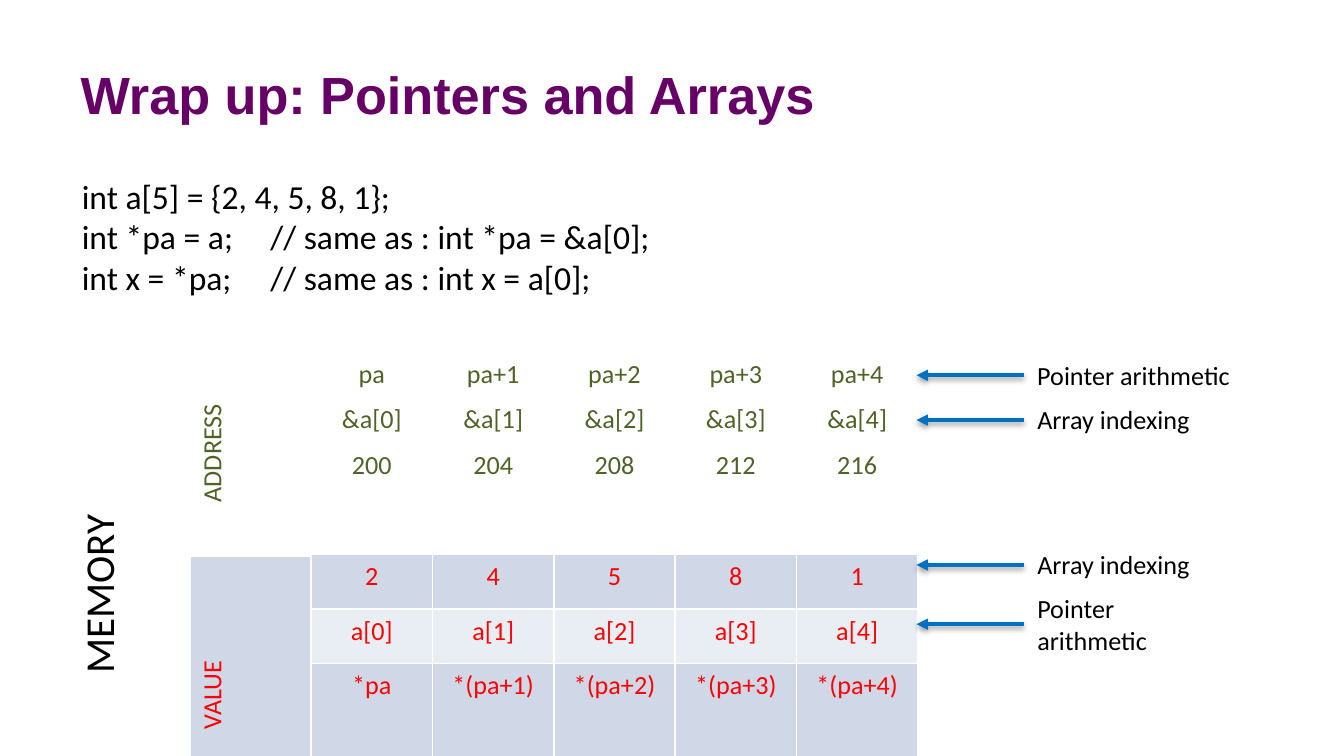
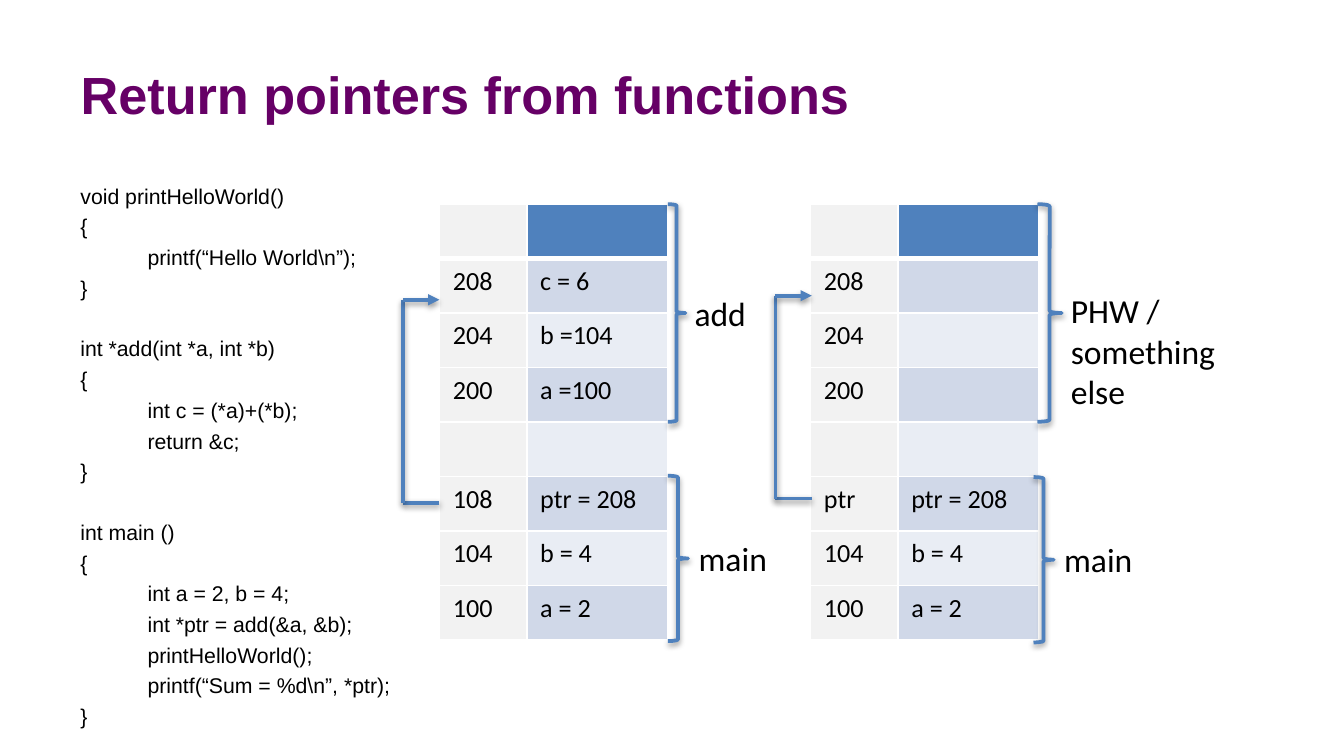
import pptx
import pptx.dml.color
import pptx.enum.shapes
import pptx.enum.text
import pptx.oxml
import pptx.oxml.ns
import pptx.util

Pt = pptx.util.Pt
ALIGN = pptx.enum.text.PP_ALIGN
ANCHOR = pptx.enum.text.MSO_ANCHOR
NS = pptx.oxml.ns.nsdecls("a")

PURPLE, BLACK, WHITE = "660066", "000000", "FFFFFF"
GREEN, RED = "4F6228", "FF0000"
ARROW_BLUE, BLUE = "0070C0", "4F81BD"
DARK_BAND, LIGHT_BAND, GREY = "D0D8E8", "E9EDF4", "F2F2F2"

POINTER_CODE = """int a[5] = {2, 4, 5, 8, 1};
int *pa = a;\t// same as : int *pa = &a[0];
int x = *pa;\t// same as : int x = a[0];"""

RETURN_CODE = """void printHelloWorld()
{
\tprintf(“Hello World\\n”);
}

int *add(int *a, int *b)
{
\tint c = (*a)+(*b);
\treturn &c;
}

int main ()
{
\tint a = 2, b = 4;
\tint *ptr = add(&a, &b);
\tprintHelloWorld();
\tprintf(“Sum = %d\\n”, *ptr);
}"""

MEMORY_ROWS = [
    ["pa", "pa+1", "pa+2", "pa+3", "pa+4"],
    ["&a[0]", "&a[1]", "&a[2]", "&a[3]", "&a[4]"],
    ["200", "204", "208", "212", "216"],
    ["2", "4", "5", "8", "1"],
    ["a[0]", "a[1]", "a[2]", "a[3]", "a[4]"],
    ["*pa", "*(pa+1)", "*(pa+2)", "*(pa+3)", "*(pa+4)"],
]
MAIN_ROWS = [("104", "b = 4"), ("100", "a = 2")]
ADD_STACK = [("", ""), ("208", "c = 6"), ("204", "b =104"), ("200", "a =100"),
             ("", ""), ("108", "ptr = 208")] + MAIN_ROWS
LATER_STACK = [("", ""), ("208", ""), ("204", ""), ("200", ""),
               ("", ""), ("ptr", "ptr = 208")] + MAIN_ROWS


def rgb(color):
    return pptx.dml.color.RGBColor.from_string(color)


def write(tf, text, size=14, color=BLACK, font="Calibri", bold=False,
          align=ALIGN.LEFT, before=0, block_gap=0, tab=None):
    p = None
    for block in text.split("\n\n"):
        for i, line in enumerate(block.split("\n")):
            starts_block = p is not None and i == 0
            p = tf.paragraphs[0] if p is None else tf.add_paragraph()
            p.alignment = align
            p.space_before = Pt(block_gap if starts_block else before)
            if tab:
                p._p.get_or_add_pPr().append(pptx.oxml.parse_xml(
                    f'<a:tabLst {NS}><a:tab pos="{Pt(tab)}" algn="l"/></a:tabLst>'))
            r = p.add_run()
            r.text = line
            r.font.name, r.font.size, r.font.bold = font, Pt(size), bold
            r.font.color.rgb = rgb(color)


def add_title(prs, text):
    s = prs.slides.add_slide(prs.slide_layouts[5])
    sp = s.shapes.title
    sp.left, sp.top, sp.width, sp.height = Pt(36), Pt(16.5), Pt(648), Pt(67.5)
    tf = sp.text_frame
    tf.auto_size = pptx.enum.text.MSO_AUTO_SIZE.NONE
    tf.vertical_anchor = ANCHOR.MIDDLE
    write(tf, text, size=28, color=PURPLE, font="Arial", bold=True)
    return s


def add_text(s, text, x, y, w, h, wrap=False, fill=None, **fmt):
    sp = s.shapes.add_textbox(Pt(x), Pt(y), Pt(w), Pt(h))
    sp.text_frame.word_wrap = wrap
    if fill:
        sp.fill.solid()
        sp.fill.fore_color.rgb = rgb(fill)
    write(sp.text_frame, text, **fmt)
    return sp


def style_line(sp, color):
    sp.line.color.rgb = rgb(color)
    sp.line.width = Pt(2)
    sp._element.spPr.append(pptx.oxml.parse_xml(
        f'<a:effectLst {NS}><a:outerShdw blurRad="{Pt(3.1)}" dist="{Pt(1.6)}" '
        f'dir="5400000" rotWithShape="0"><a:srgbClr val="{BLACK}">'
        '<a:alpha val="38000"/></a:srgbClr></a:outerShdw></a:effectLst>'))


def add_line(s, x1, y1, x2, y2, color, arrow=False):
    sp = s.shapes.add_connector(pptx.enum.shapes.MSO_CONNECTOR.STRAIGHT,
                                Pt(x1), Pt(y1), Pt(x2), Pt(y2))
    style_line(sp, color)
    if arrow:
        sp.line._get_or_add_ln().append(
            pptx.oxml.parse_xml(f'<a:tailEnd {NS} type="triangle"/>'))
    return sp


def add_arrow_label(s, text, y, w, h, fill=None):
    label = add_text(s, text, 548.6, y, w, h, wrap=True, fill=fill)
    mid = y + h / 2
    add_line(s, 548.6, mid, 491, mid, ARROW_BLUE, arrow=True).begin_connect(label, 1)


def add_return_path(s, left, right, top, bottom):
    points = [(right, bottom), (left, bottom), (left, top), (right, top)]
    for i, (start, end) in enumerate(zip(points, points[1:])):
        add_line(s, *start, *end, BLUE, arrow=i == 2)


def add_brace(s, x, y, w, h):
    sp = s.shapes.add_shape(pptx.enum.shapes.MSO_SHAPE.RIGHT_BRACE,
                            Pt(x), Pt(y), Pt(w), Pt(h))
    sp.fill.background()
    style_line(sp, BLUE)


def add_grid(s, x, y, widths, heights):
    table = s.shapes.add_table(len(heights), len(widths), Pt(x), Pt(y),
                               Pt(sum(widths)), Pt(sum(heights))).table
    for col, w in zip(table.columns, widths):
        col.width = Pt(w)
    for row, h in zip(table.rows, heights):
        row.height = Pt(h)
    return table


def set_cell(cell, text, fill, header=False, vertical=False, **fmt):
    tcPr = cell._tc.get_or_add_tcPr()
    for side in "LRTB":
        width = 3 if header and side == "B" else 1
        tcPr.append(pptx.oxml.parse_xml(
            f'<a:ln{side} {NS} w="{Pt(width)}"><a:solidFill>'
            f'<a:srgbClr val="{WHITE}"/></a:solidFill></a:ln{side}>'))
    cell.fill.solid()
    cell.fill.fore_color.rgb = rgb(fill)
    if vertical:
        tcPr.set("vert", "vert270")
        cell.vertical_anchor = ANCHOR.MIDDLE
    if text:
        write(cell.text_frame, text, **fmt)


def add_memory_table(s):
    table = add_grid(s, 36.7, 188.6, [65] * 7, [19.4] * 3 + [29.2] * 3)
    fills = [WHITE] * 3 + [DARK_BAND, LIGHT_BAND, DARK_BAND]
    for i, values in enumerate(MEMORY_ROWS):
        for j, value in enumerate(values, 2):
            set_cell(table.cell(i, j), value, fills[i], header=i == 0,
                     color=GREEN if i < 3 else RED, align=ALIGN.CENTER)
    for text, top, bottom, col, size, color, fill in [
            ("MEMORY", 0, 5, 0, 22, BLACK, WHITE),
            ("ADDRESS", 0, 2, 1, 14, GREEN, WHITE),
            ("VALUE", 3, 5, 1, 14, RED, DARK_BAND)]:
        cell = table.cell(top, col)
        cell.merge(table.cell(bottom, col))
        set_cell(cell, text, fill, header=top == 0, vertical=True,
                 size=size, color=color, align=ALIGN.CENTER)


def add_stack_table(s, x, rows):
    table = add_grid(s, x, 109.4, [46.8, 75.6], [29.2] * len(rows))
    for i, (address, value) in enumerate(rows):
        band = BLUE if i == 0 else DARK_BAND if i % 2 else LIGHT_BAND
        set_cell(table.cell(i, 0), address, GREY, header=i == 0)
        set_cell(table.cell(i, 1), value, band, header=i == 0)


def build_wrap_up(prs):
    s = add_title(prs, "Wrap up: Pointers and Arrays")
    add_memory_table(s)
    add_text(s, POINTER_CODE, 36.7, 90.7, 323.3, 72.7, size=18, tab=101)
    add_arrow_label(s, "Pointer arithmetic", 313.9, 99.4, 41)
    add_arrow_label(s, "Array indexing", 290.4, 106.6, 24.5)
    add_arrow_label(s, "Array indexing", 212.8, 106.6, 24.5, fill=WHITE)
    add_arrow_label(s, "Pointer arithmetic", 188.8, 155.5, 24.5, fill=WHITE)


def build_return_pointers(prs):
    s = add_title(prs, "Return pointers from functions")
    add_text(s, RETURN_CODE, 36, 94.5, 648, 277, wrap=True, size=11.4,
             font="Arial", before=2.8, block_gap=18.7, tab=36)
    add_stack_table(s, 235.4, ADD_STACK)
    add_stack_table(s, 434.2, LATER_STACK)
    for brace in [(357.8, 254.9, 10.8, 88.6), (357.8, 109.4, 9.4, 116.6),
                  (553.7, 255.6, 10.8, 88.6), (555.8, 109.4, 13, 116.6)]:
        add_brace(s, *brace)
    add_text(s, "main", 367.2, 284.4, 51.8, 28.8, size=18)
    add_text(s, "add", 365, 153.4, 42.5, 28.8, size=18)
    add_text(s, "main", 563, 285.1, 51.8, 28.8, size=18)
    add_text(s, "PHW / something else", 566.6, 151.9, 92.9, 72.7, wrap=True, size=18)
    add_return_path(s, 216, 235.4, 160.6, 269.3)
    add_return_path(s, 415.4, 434.9, 158.4, 267.1)


def main():
    prs = pptx.Presentation()
    prs.slide_width, prs.slide_height = Pt(720), Pt(405)
    build_wrap_up(prs)
    build_return_pointers(prs)
    prs.save("out.pptx")


if __name__ == "__main__":
    main()
